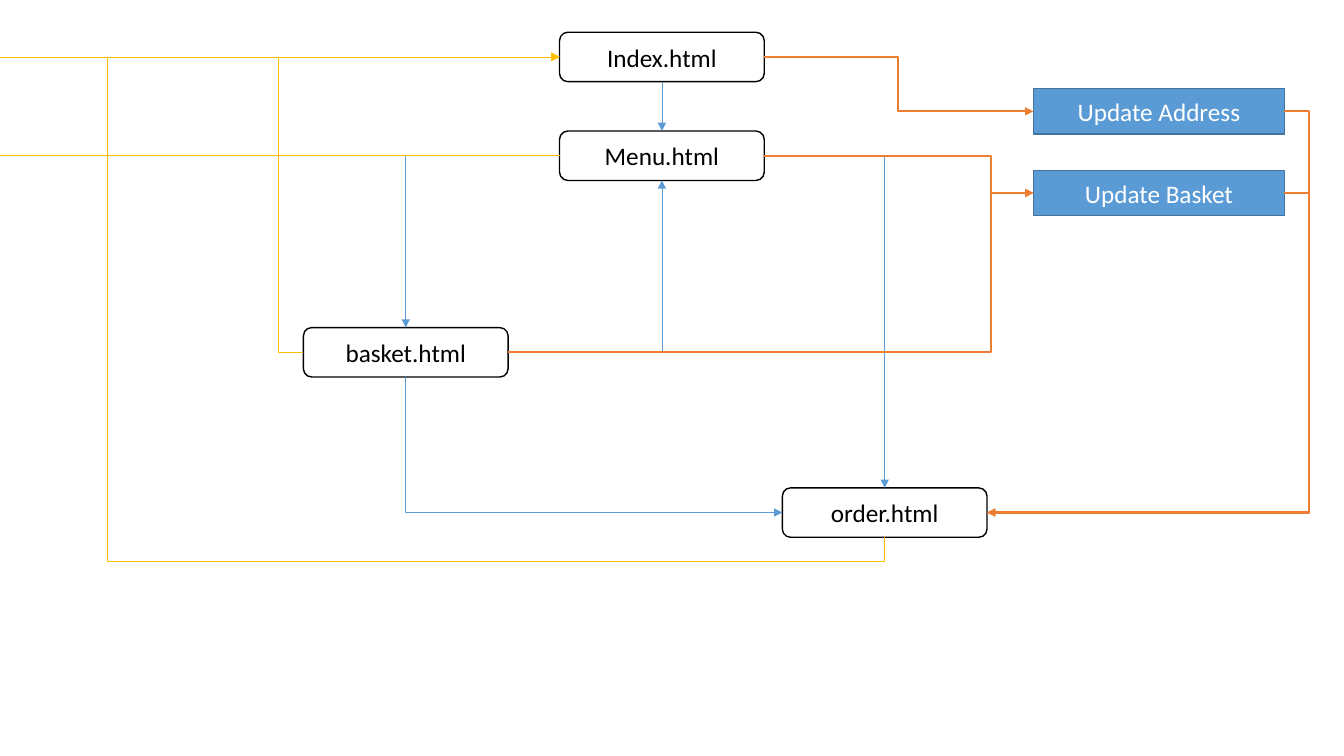
"""Build a page-flow diagram of a small web shop."""
import dataclasses
import enum
import typing

import pptx
import pptx.dml.color
import pptx.enum.shapes
import pptx.enum.text
import pptx.oxml
import pptx.oxml.ns
import pptx.util

Inches = pptx.util.Inches
Pt = pptx.util.Pt
RGBColor = pptx.dml.color.RGBColor
MSO_SHAPE = pptx.enum.shapes.MSO_SHAPE
MSO_CONNECTOR = pptx.enum.shapes.MSO_CONNECTOR
qn = pptx.oxml.ns.qn

FONT = "Calibri"
WHITE = RGBColor(0xFF, 0xFF, 0xFF)
BLACK = RGBColor(0x00, 0x00, 0x00)
BLUE = RGBColor(0x5B, 0x9B, 0xD5)
DARK_BLUE = RGBColor(0x43, 0x73, 0x9E)
YELLOW = RGBColor(0xFF, 0xC0, 0x00)
ORANGE = RGBColor(0xED, 0x7D, 0x31)
THIN = Pt(0.5)
THICK = Pt(1.5)


class Side(enum.IntEnum):
    TOP = 0
    LEFT = 1
    BOTTOM = 2
    RIGHT = 3


@dataclasses.dataclass(frozen=True)
class BoxStyle:
    preset: MSO_SHAPE
    width: int
    height: int
    fill: RGBColor
    line: RGBColor
    text: RGBColor


@dataclasses.dataclass(frozen=True)
class Box:
    name: str
    left: float
    top: float
    style: BoxStyle


@dataclasses.dataclass(frozen=True)
class Route:
    start: str
    start_side: Side
    end: str
    end_side: Side
    color: RGBColor
    width: int
    bends: tuple[float, ...] = ()
    straight: bool = False


PAGE = BoxStyle(MSO_SHAPE.ROUNDED_RECTANGLE, Inches(2.03), Inches(0.49), WHITE, BLACK, BLACK)
ACTION = BoxStyle(MSO_SHAPE.RECTANGLE, Inches(2.49), Inches(0.45), BLUE, DARK_BLUE, WHITE)

INDEX, MENU, BASKET, ORDER = "Index.html", "Menu.html", "basket.html", "order.html"
ADDRESS, UPDATE_BASKET = "Update Address", "Update Basket"

BOXES = [
    Box(INDEX, 5.55, 0.32, PAGE),
    Box(MENU, 5.55, 1.3, PAGE),
    Box(BASKET, 3.01, 3.25, PAGE),
    Box(ORDER, 7.76, 4.84, PAGE),
    Box(ADDRESS, 10.25, 0.88, ACTION),
    Box(UPDATE_BASKET, 10.25, 1.69, ACTION),
]

ROUTES = [
    Route(INDEX, Side.BOTTOM, MENU, Side.TOP, BLUE, THIN, straight=True),
    Route(MENU, Side.LEFT, BASKET, Side.TOP, BLUE, THIN),
    Route(MENU, Side.RIGHT, ORDER, Side.TOP, BLUE, THIN),
    Route(BASKET, Side.BOTTOM, ORDER, Side.LEFT, BLUE, THIN),
    Route(BASKET, Side.RIGHT, MENU, Side.BOTTOM, BLUE, THIN),
    Route(BASKET, Side.LEFT, INDEX, Side.LEFT, YELLOW, THIN, (2.76,)),
    Route(ORDER, Side.BOTTOM, INDEX, Side.LEFT, YELLOW, THIN, (5.57, 1.06)),
    Route(INDEX, Side.RIGHT, ADDRESS, Side.LEFT, ORANGE, THICK, (8.91,)),
    Route(MENU, Side.RIGHT, UPDATE_BASKET, Side.LEFT, ORANGE, THICK, (9.83,)),
    Route(BASKET, Side.RIGHT, UPDATE_BASKET, Side.LEFT, ORANGE, THICK, (9.83,)),
    Route(ADDRESS, Side.RIGHT, ORDER, Side.RIGHT, ORANGE, THICK, (12.98,)),
    Route(UPDATE_BASKET, Side.RIGHT, ORDER, Side.RIGHT, ORANGE, THICK, (12.98,)),
]


def add_box(s: typing.Any, box: Box) -> typing.Any:
    style = box.style
    sp = s.shapes.add_shape(
        style.preset, Inches(box.left), Inches(box.top), style.width, style.height
    )
    sp.shadow.inherit = False
    sp.fill.solid()
    sp.fill.fore_color.rgb = style.fill
    sp.line.color.rgb = style.line
    sp.line.width = Pt(1)
    tf = sp.text_frame
    tf.text = box.name
    tf.vertical_anchor = pptx.enum.text.MSO_ANCHOR.MIDDLE
    p = tf.paragraphs[0]
    p.alignment = pptx.enum.text.PP_ALIGN.CENTER
    r = p.runs[0]
    r.font.name = FONT
    r.font.size = Pt(18)
    r.font.color.rgb = style.text
    return sp


def style_line(c: typing.Any, color: RGBColor, width: int, arrow: bool = True) -> None:
    c.line.color.rgb = color
    c.line.width = width
    spPr = c._element.spPr
    if arrow:
        tail = pptx.oxml.parse_xml(f'<a:tailEnd {pptx.oxml.ns.nsdecls("a")} type="triangle"/>')
        spPr.find(qn("a:ln")).append(tail)
    spPr.append(pptx.oxml.parse_xml(f'<a:effectLst {pptx.oxml.ns.nsdecls("a")}/>'))


def turn_vertical(c: typing.Any, start: tuple[int, int], end: tuple[int, int]) -> None:
    dx, dy = end[0] - start[0], end[1] - start[1]
    c.width, c.height = abs(dy), abs(dx)
    c.left = (start[0] + end[0] - abs(dy)) // 2
    c.top = (start[1] + end[1] - abs(dx)) // 2
    xfrm = c._element.spPr.find(qn("a:xfrm"))
    xfrm.set("rot", str((90 if dy > 0 else 270) * 60000))
    xfrm.set("flipH", "0")
    xfrm.set("flipV", "1" if dx * dy > 0 else "0")


def bend(c: typing.Any, route: Route) -> None:
    start, end = (c.begin_x, c.begin_y), (c.end_x, c.end_y)
    vertical = route.start_side in (Side.TOP, Side.BOTTOM)
    if vertical:
        turn_vertical(c, start, end)
    geom = c._element.spPr.find(qn("a:prstGeom"))
    geom.set("prst", f"bentConnector{len(route.bends) + 2}")
    guides = geom.find(qn("a:avLst"))
    for i, position in enumerate(route.bends):
        axis = (i + vertical) % 2
        share = (Inches(position) - start[axis]) / (end[axis] - start[axis])
        guide = pptx.oxml.parse_xml(f'<a:gd {pptx.oxml.ns.nsdecls("a")}/>')
        guide.set("name", f"adj{i + 1}")
        guide.set("fmla", f"val {round(share * 100000)}")
        guides.append(guide)


def add_route(s: typing.Any, route: Route, boxes: dict[str, typing.Any]) -> None:
    kind = MSO_CONNECTOR.STRAIGHT if route.straight else MSO_CONNECTOR.ELBOW
    c = s.shapes.add_connector(kind, 0, 0, 0, 0)
    c.begin_connect(boxes[route.start], route.start_side)
    c.end_connect(boxes[route.end], route.end_side)
    if not route.straight:
        bend(c, route)
    style_line(c, route.color, route.width)


def add_edge_line(s: typing.Any, page: typing.Any, incoming: bool) -> None:
    y = page.top + page.height // 2
    ends = (0, page.left) if incoming else (page.left, 0)
    c = s.shapes.add_connector(MSO_CONNECTOR.STRAIGHT, ends[0], y, ends[1], y)
    connect = c.end_connect if incoming else c.begin_connect
    connect(page, Side.LEFT)
    style_line(c, YELLOW, THIN, arrow=incoming)


prs = pptx.Presentation()
prs.slide_width, prs.slide_height = Inches(13.33), Inches(7.5)
s = prs.slides.add_slide(prs.slide_layouts[6])
boxes = {box.name: add_box(s, box) for box in BOXES}
for route in ROUTES:
    add_route(s, route, boxes)
add_edge_line(s, boxes[MENU], incoming=False)
add_edge_line(s, boxes[INDEX], incoming=True)
prs.save("out.pptx")
